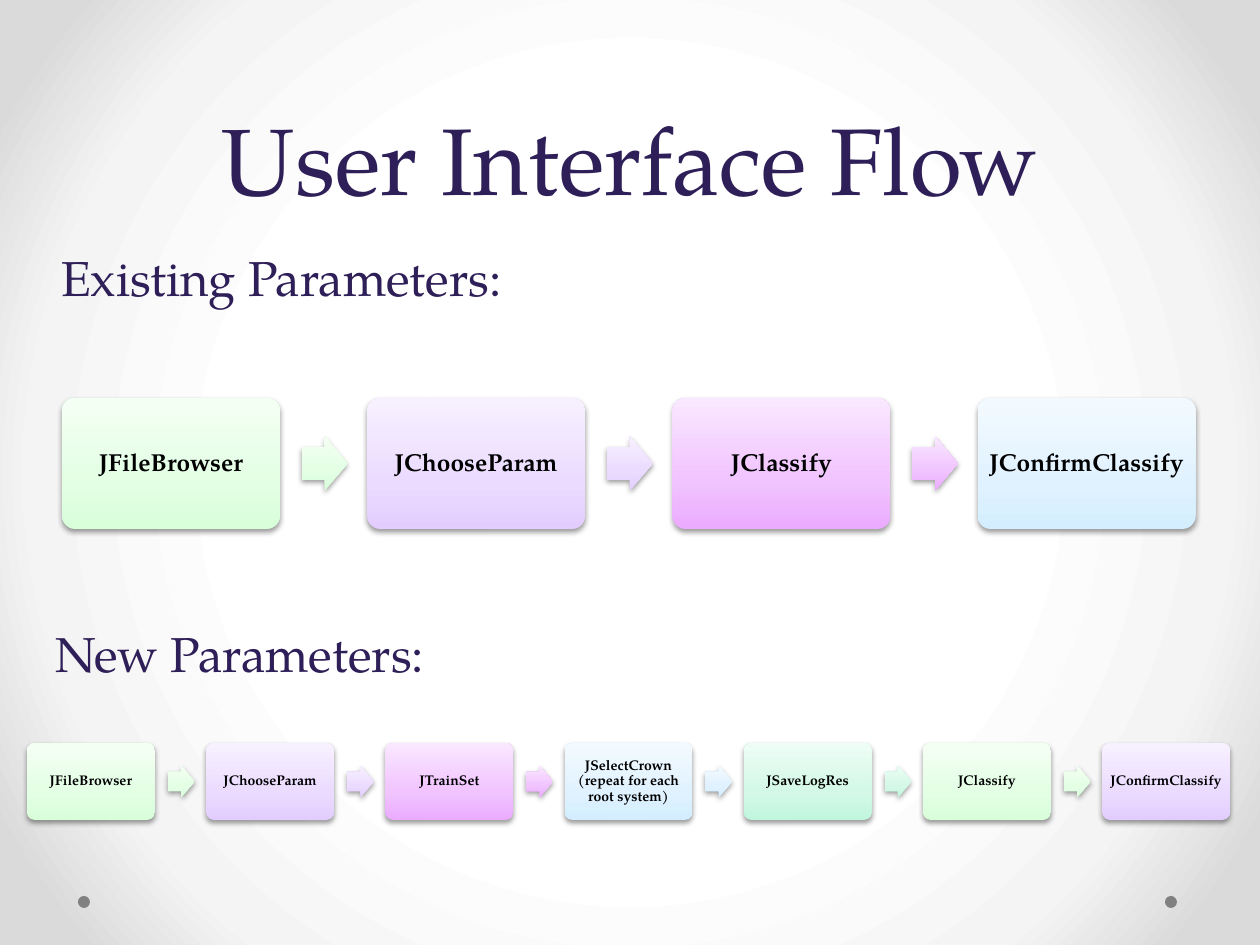
import pptx
import pptx.dml.color
import pptx.enum.shapes
import pptx.enum.text
import pptx.oxml
import pptx.oxml.ns
import pptx.util
from dataclasses import dataclass

SHAPE = pptx.enum.shapes.MSO_SHAPE
ALIGN = pptx.enum.text.PP_ALIGN
ANCHOR = pptx.enum.text.MSO_ANCHOR
NS = pptx.oxml.ns.nsdecls("a")
EMU_PER_PX = 914400 / 126


@dataclass(frozen=True)
class Theme:
    font: str = "TeX Gyre Pagella"
    heading: str = "2F1F58"
    label: str = "000000"
    dot: str = "808080"
    title_size: int = 54
    heading_size: int = 28
    large_label: int = 14
    small_label: int = 8
    backdrop: tuple = ((50, "FFFFFF"), (76, "F4F4F4"), (92, "DADADA"))
    steps: tuple = (
        ("D8FFDA", "E3FFE4", "F4FFF4"),
        ("E3CDFF", "EBDBFF", "F7F1FF"),
        ("EBABFF", "F1C3FF", "F9E8FF"),
        ("D4EEFF", "E0F2FF", "F3FAFF"),
        ("C1F6DD", "D3F8E7", "EDFDF5"),
    )


def px(n):
    return pptx.util.Emu(round(n * EMU_PER_PX))


def write(tf, text, *, size, color, font, bold=False, align=ALIGN.CENTER,
          anchor=ANCHOR.MIDDLE, spacing=None, inset=0):
    tf.word_wrap = True
    tf.vertical_anchor = anchor
    tf.margin_left = tf.margin_right = tf.margin_top = tf.margin_bottom = px(inset)
    p = tf.paragraphs[0]
    p.alignment = align
    p.line_spacing = spacing
    r = p.add_run()
    r.text = text
    r.font.name = font
    r.font.size = pptx.util.Pt(size)
    r.font.bold = bold
    r.font.color.rgb = pptx.dml.color.RGBColor.from_string(color)


def set_gradient(element, stops, direction):
    old = next(element.iter(pptx.oxml.ns.qn("a:gradFill")))
    gs = "".join(f'<a:gs pos="{pos * 1000}"><a:srgbClr val="{color}"/></a:gs>'
                 for pos, color in stops)
    new = pptx.oxml.parse_xml(
        f'<a:gradFill {NS} rotWithShape="1"><a:gsLst>{gs}</a:gsLst>{direction}</a:gradFill>')
    old.getparent().replace(old, new)


class Deck:
    def __init__(self, prs, theme):
        self.theme = theme
        self.s = prs.slides.add_slide(prs.slide_layouts[6])

    def backdrop(self):
        self.s.background.fill.gradient()
        set_gradient(self.s._element, self.theme.backdrop,
                     '<a:path path="circle"><a:fillToRect l="50000" t="50000"'
                     ' r="50000" b="50000"/></a:path>')

    def shape(self, kind, x, y, w, h):
        sp = self.s.shapes.add_shape(kind, px(x), px(y), px(w), px(h))
        sp.shadow.inherit = False
        sp.line.fill.background()
        return sp

    def dot(self, x, y, d):
        sp = self.shape(SHAPE.OVAL, x, y, d, d)
        sp.fill.solid()
        sp.fill.fore_color.rgb = pptx.dml.color.RGBColor.from_string(self.theme.dot)

    def heading(self, text, x, y, w, h, size, align=ALIGN.LEFT):
        sp = self.s.shapes.add_textbox(px(x), px(y), px(w), px(h))
        write(sp.text_frame, text, size=size, color=self.theme.heading,
              font=self.theme.font, align=align, anchor=ANCHOR.BOTTOM,
              spacing=pptx.util.Pt(58))

    def raised(self, kind, x, y, w, h, colors, adjustments):
        sp = self.shape(kind, x, y, w, h)
        for i, value in enumerate(adjustments):
            sp.adjustments[i] = value
        sp.fill.gradient()
        set_gradient(sp._element, zip((0, 35, 100), colors),
                     '<a:lin ang="16200000" scaled="0"/>')
        effects = next(sp._element.iter(pptx.oxml.ns.qn("a:effectLst")))
        effects.append(pptx.oxml.parse_xml(
            f'<a:outerShdw {NS} blurRad="39370" dist="20320" dir="5400000"'
            ' rotWithShape="0"><a:srgbClr val="000000"><a:alpha val="38000"/>'
            '</a:srgbClr></a:outerShdw>'))
        return sp

    def flow(self, labels, x, y, w, h, size, inset):
        arrow_w, arrow_h = 0.21 * w, 0.25 * w
        for i, label in enumerate(labels):
            left = x + i * 1.4 * w
            colors = self.theme.steps[i % len(self.theme.steps)]
            sp = self.raised(SHAPE.ROUNDED_RECTANGLE, left, y, w, h, colors, (0.1,))
            write(sp.text_frame, label, size=size, color=self.theme.label,
                  font=self.theme.font, bold=True, spacing=0.9, inset=inset)
            if i < len(labels) - 1:
                self.raised(SHAPE.RIGHT_ARROW, left + 1.1 * w, y + (h - arrow_h) / 2,
                            arrow_w, arrow_h, colors, (0.6, 0.5))


theme = Theme()
prs = pptx.Presentation()
prs.slide_width, prs.slide_height = px(1260), px(945)
deck = Deck(prs, theme)
deck.backdrop()
for x in (1165, 78):
    deck.dot(x, 896, 12)
deck.heading("User Interface Flow", 63, 0, 1134, 214, theme.title_size, ALIGN.CENTER)
deck.heading("Existing Parameters:", 61, 252, 500, 54, theme.heading_size)
deck.heading("New Parameters:", 55, 628, 500, 54, theme.heading_size)
deck.flow(("JFileBrowser", "JChooseParam", "JClassify", "JConfirmClassify"),
          62, 398, 218, 131, theme.large_label, 7)
deck.flow(("JFileBrowser", "JChooseParam", "JTrainSet",
           "JSelectCrown (repeat for each root system)", "JSaveLogRes",
           "JClassify", "JConfirmClassify"),
          27, 743, 128, 77, theme.small_label, 4)
prs.save("out.pptx")
